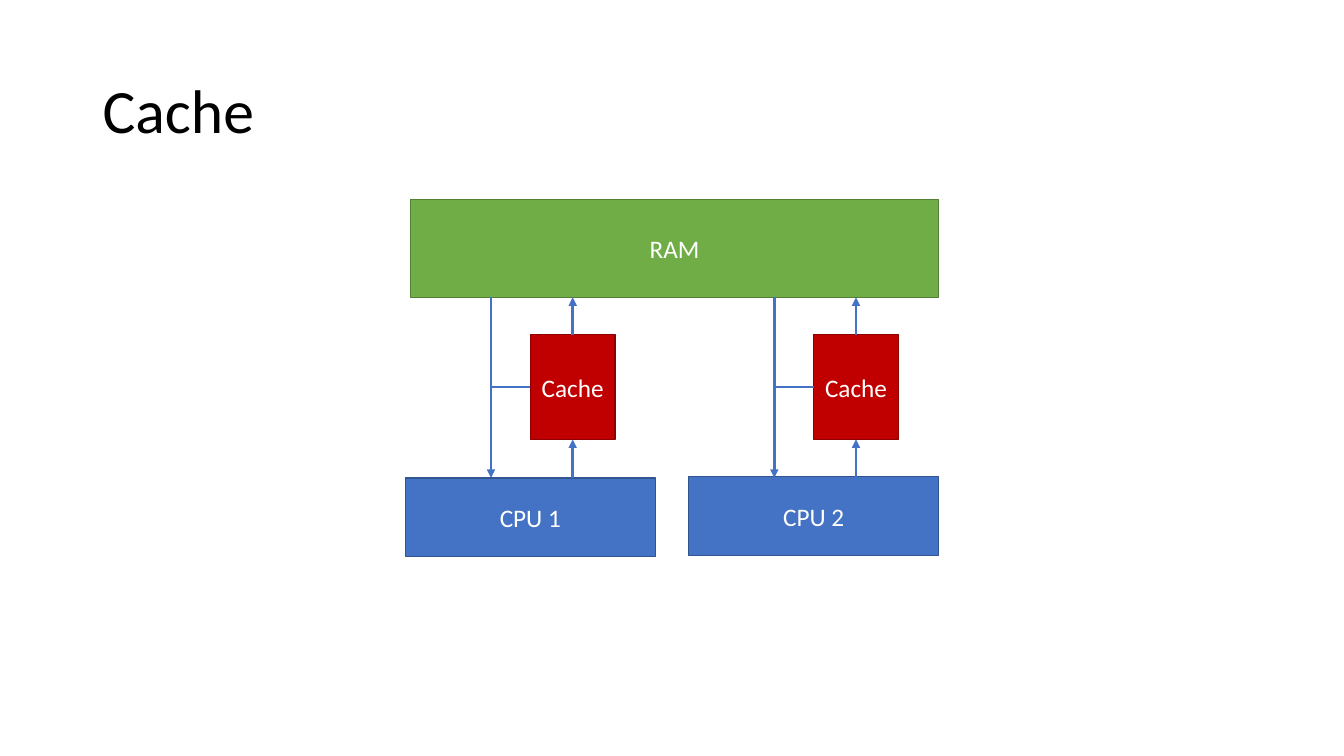
from pptx import Presentation
from pptx.dml.color import RGBColor as RGB
from pptx.enum.shapes import MSO_CONNECTOR as CONN, MSO_SHAPE as SHAPE
from pptx.enum.text import MSO_ANCHOR as ANCHOR, PP_ALIGN as ALIGN
from pptx.oxml.ns import qn
from pptx.util import Pt
from lxml.etree import SubElement

PX = 9144
HUES = {
    "ink": "000000", "white": "FFFFFF",
    "blue": "4472C4", "navy": "325491",
    "green": "70AD47", "moss": "538035",
    "red": "C00000", "wine": "8E0000",
}
TOP, LEFT, BOTTOM = 0, 1, 2
STEP = 281


def emu(*nums):
    """Turn px lengths into EMU."""
    return [num * PX for num in nums]


def hue(name):
    """Give the colour of a name."""
    return RGB.from_string(HUES[name])


def write(shape, text, size, tone, align):
    """Write one line of text, centred in height."""
    frame = shape.text_frame
    frame.word_wrap = True
    frame.vertical_anchor = ANCHOR.MIDDLE
    para = frame.paragraphs[0]
    para.alignment = align
    run = para.add_run()
    run.text = text
    run.font.name = "Calibri"
    run.font.size = Pt(size)
    run.font.color.rgb = hue(tone)
    return para


def title(slide, text):
    """Add the slide title."""
    box = slide.shapes.add_textbox(*emu(92, 40, 1150, 145))
    write(box, text, 44, "ink", ALIGN.LEFT).line_spacing = 0.9


def block(slide, text, area, fill, edge):
    """Add a filled rectangle with a label."""
    rect = slide.shapes.add_shape(SHAPE.RECTANGLE, *emu(*area))
    rect.shadow.inherit = False
    rect.fill.solid()
    rect.fill.fore_color.rgb = hue(fill)
    rect.line.color.rgb = hue(edge)
    rect.line.width = Pt(1)
    write(rect, text, 18, "white", ALIGN.CENTER)
    return rect


def link(slide, start, end, arrow=True):
    """Add a straight line, with an arrowhead at its end if asked."""
    line = slide.shapes.add_connector(CONN.STRAIGHT, *emu(*start, *end))
    line.line.color.rgb = hue("blue")
    line.line.width = Pt(2)
    if arrow:
        SubElement(line.line._get_or_add_ln(), qn("a:tailEnd"), type="triangle")
    SubElement(line._element.spPr, qn("a:effectLst"))
    return line


def core(slide, text, shift, top):
    """Add a CPU with its cache and the lines up to the RAM."""
    block(slide, text, (402 + shift, top, 248, 78), "blue", "navy")
    cache = block(slide, "Cache", (526 + shift, 332, 84, 104), "red", "wine")
    bus, mid = 487 + shift, 568 + shift
    link(slide, (mid, top), (mid, 436)).end_connect(cache, BOTTOM)
    link(slide, (mid, 332), (mid, 295)).begin_connect(cache, TOP)
    link(slide, (bus, 295), (bus, 474))
    tap = link(slide, (526 + shift, 384), (bus, 384), arrow=False)
    tap.begin_connect(cache, LEFT)


def main():
    """Build the slide and save it."""
    deck = Presentation()
    deck.slide_width, deck.slide_height = emu(1333, 750)
    slide = deck.slides.add_slide(deck.slide_layouts[6])
    title(slide, "Cache")
    block(slide, "RAM", (407, 198, 524, 97), "green", "moss")
    for num, top in enumerate((474, 473)):
        core(slide, f"CPU {num + 1}", num * STEP, top)
    deck.save("out.pptx")


if __name__ == "__main__":
    main()
